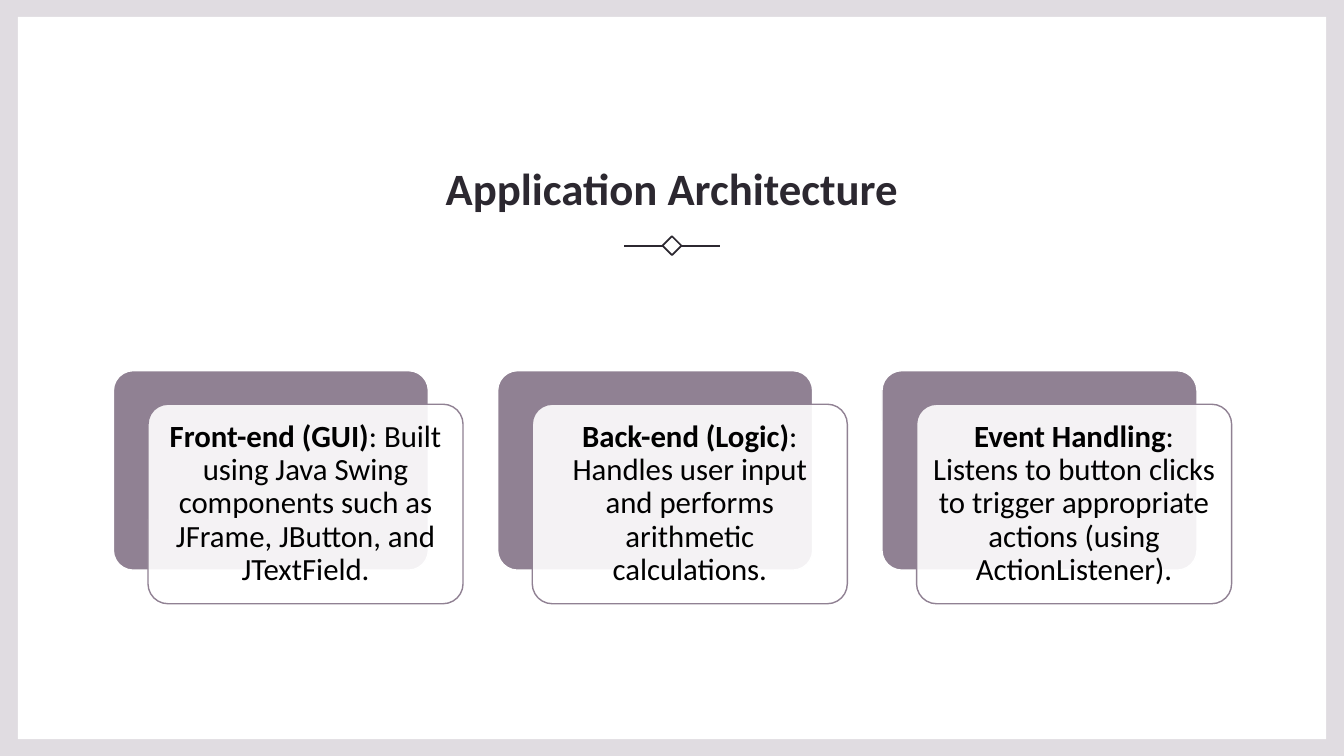
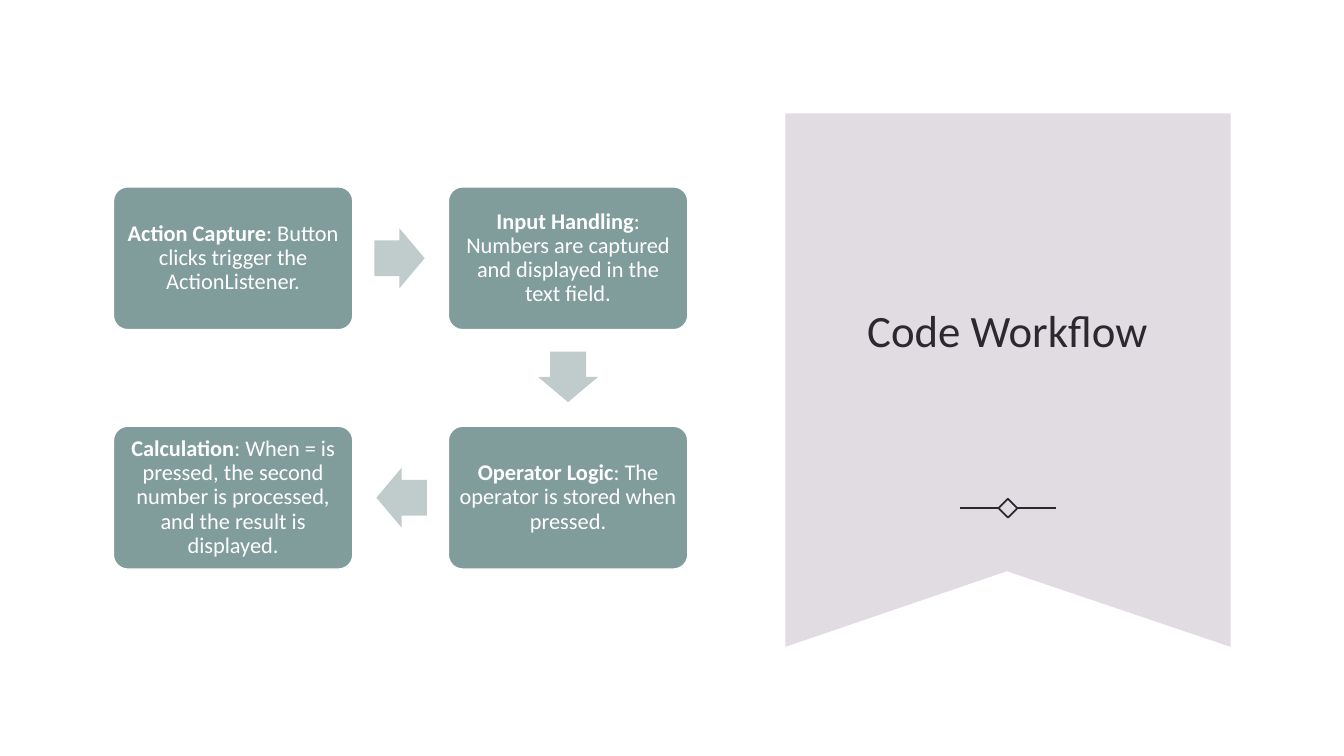
from lxml import etree
from pptx import Presentation
from pptx.dml.color import RGBColor
from pptx.enum.shapes import MSO_CONNECTOR, MSO_SHAPE
from pptx.enum.text import MSO_ANCHOR, MSO_AUTO_SIZE, PP_ALIGN
from pptx.oxml.ns import qn
from pptx.util import Emu, Pt

PX = 9525  # 96 px to the inch
SLIDE_WIDTH, SLIDE_HEIGHT = 1280, 720
FONT = "Calibri"
TITLE_ONLY = 5

INK = RGBColor(0x2C, 0x28, 0x30)
BLACK = RGBColor(0x00, 0x00, 0x00)
WHITE = RGBColor(0xFF, 0xFF, 0xFF)
LILAC = RGBColor(0xE0, 0xDC, 0xE1)
PLUM = RGBColor(0x90, 0x81, 0x93)
TEAL = RGBColor(0x80, 0x9C, 0x9B)
PALE_TEAL = RGBColor(0xC0, 0xCB, 0xCB)

RECTANGLE = MSO_SHAPE.RECTANGLE
ROUNDED = MSO_SHAPE.ROUNDED_RECTANGLE
DIAMOND = MSO_SHAPE.DIAMOND
ARROW = MSO_SHAPE.RIGHT_ARROW
STRAIGHT = MSO_CONNECTOR.STRAIGHT
CENTER = PP_ALIGN.CENTER
MIDDLE, BOTTOM = MSO_ANCHOR.MIDDLE, MSO_ANCHOR.BOTTOM
NO_AUTOFIT = MSO_AUTO_SIZE.NONE

ARCHITECTURE_TITLE = "Application Architecture"
LAYERS = [
    ("Front-end (GUI)", ": Built using Java Swing components such as JFrame, JButton, and JTextField."),
    ("Back-end (Logic)", ": Handles user input and performs arithmetic calculations."),
    ("Event Handling", ": Listens to button clicks to trigger appropriate actions (using ActionListener)."),
]

WORKFLOW_TITLE = "Code Workflow"
# (column, row), bold lead, rest; in the order of the flow
STEPS = [
    ((0, 0), "Action Capture", ": Button clicks trigger the ActionListener."),
    ((1, 0), "Input Handling", ": Numbers are captured and displayed in the text field."),
    ((1, 1), "Operator Logic", ": The operator is stored when pressed."),
    ((0, 1), "Calculation", ": When = is pressed, the second number is processed, and the result is displayed."),
]
ARROW_ROTATION = {(1, 0): 0, (0, 1): 90, (-1, 0): 180}
RIBBON = [(748, 108), (1172, 108), (1172, 616), (959, 544), (748, 616)]


def px(*lengths):
    return [Emu(round(length * PX)) for length in lengths]


def write_text(shape, *runs, size, color, anchor=MIDDLE, spacing=0.9, inset=None):
    """Fill a shape with one centred paragraph; each run is (text, bold)."""
    frame = shape.text_frame
    frame.word_wrap = True
    frame.auto_size = NO_AUTOFIT
    frame.vertical_anchor = anchor
    if inset is not None:
        margin, = px(inset)
        frame.margin_left = frame.margin_right = margin
        frame.margin_top = frame.margin_bottom = margin
    paragraph = frame.paragraphs[0]
    paragraph.alignment = CENTER
    paragraph.line_spacing = spacing
    for text, bold in runs:
        run = paragraph.add_run()
        run.text = text
        font = run.font
        font.name, font.size, font.bold = FONT, Pt(size), bold
        font.color.rgb = color


def style_shape(shape, fill=None, line=None, width=1, opacity=None):
    shape.shadow.inherit = False
    if fill is None:
        shape.fill.background()
    else:
        shape.fill.solid()
        shape.fill.fore_color.rgb = fill
    if line is None:
        shape.line.fill.background()
    else:
        shape.line.color.rgb = line
        shape.line.width = Pt(width)
    if opacity is not None:
        color = shape.element.spPr.find(qn("a:solidFill"))[0]
        etree.SubElement(color, qn("a:alpha")).set("val", str(opacity * 1000))


def add_shape(slide, kind, box, adjustments=(), **style):
    shape = slide.shapes.add_shape(kind, *px(*box))
    for index, value in enumerate(adjustments):
        shape.adjustments[index] = value
    style_shape(shape, **style)
    return shape


def add_title(slide, text, box, anchor, bold):
    """Place the title placeholder in front of the backdrop drawn so far."""
    title = slide.shapes.title
    title.element.getparent().append(title.element)
    title.left, title.top, title.width, title.height = px(*box)
    write_text(title, (text, bold), size=32, color=INK, anchor=anchor, spacing=1.1)


def add_ornament(slide, center_x, center_y):
    """Draw a small diamond between two short lines."""
    size, inner, outer = 18, 9, 46
    add_shape(slide, DIAMOND, (center_x - size / 2, center_y - size / 2, size, size),
              line=INK, width=1.25)
    for side in (-1, 1):
        connector = slide.shapes.add_connector(
            STRAIGHT, *px(center_x + side * inner, center_y, center_x + side * outer, center_y))
        connector.line.color.rgb = INK
        connector.line.width = Pt(1.25)
        etree.SubElement(connector.element.spPr, qn("a:effectLst"))


def add_slide(presentation, background):
    slide = presentation.slides.add_slide(presentation.slide_layouts[TITLE_ONLY])
    slide.background.fill.solid()
    slide.background.fill.fore_color.rgb = background
    return slide


def build_architecture(presentation):
    slide = add_slide(presentation, LILAC)
    border_x, border_y = 17, 16
    add_shape(slide, RECTANGLE, (border_x, border_y, SLIDE_WIDTH - 2 * border_x,
                                 SLIDE_HEIGHT - 2 * border_y), fill=WHITE)
    add_title(slide, ARCHITECTURE_TITLE, (108, 101, 1064, 108), BOTTOM, True)
    add_ornament(slide, 640, 234)

    left, top, width, height, pitch = 108, 353, 300, 190, 366
    offset_x, offset_y = 33, 32
    for index, (lead, rest) in enumerate(LAYERS):
        x = left + index * pitch
        add_shape(slide, ROUNDED, (x, top, width, height), [0.1], fill=PLUM, line=WHITE)
        card = add_shape(slide, ROUNDED, (x + offset_x, top + offset_y, width, height), [0.1],
                         fill=WHITE, line=PLUM, opacity=90)
        write_text(card, (lead, True), (rest, False), size=22, color=BLACK, inset=8)


def build_workflow(presentation):
    slide = add_slide(presentation, WHITE)
    builder = slide.shapes.build_freeform(*RIBBON[0], scale=PX)
    builder.add_line_segments(RIBBON[1:], close=True)
    style_shape(builder.convert_to_shape(), fill=LILAC)
    add_title(slide, WORKFLOW_TITLE, (789, 174, 341, 274), MIDDLE, False)
    add_ornament(slide, 960, 484)

    left, top, width, height = 108, 178, 228, 136
    pitch_x, pitch_y = 319, 228
    arrow_width, arrow_height = 48, 57
    previous = None
    for (column, row), lead, rest in STEPS:
        x, y = left + column * pitch_x, top + row * pitch_y
        if previous:
            step_x, step_y = column - previous[0], row - previous[1]
            # the arrow sits one px short of the middle of the gap
            center_x = x + width / 2 - step_x * (pitch_x / 2 + 1)
            center_y = y + height / 2 - step_y * (pitch_y / 2 + 1)
            arrow = add_shape(slide, ARROW,
                              (center_x - arrow_width / 2, center_y - arrow_height / 2,
                               arrow_width, arrow_height), [0.6, 0.5], fill=PALE_TEAL)
            arrow.rotation = ARROW_ROTATION[step_x, step_y]
        box = add_shape(slide, ROUNDED, (x, y, width, height), [0.1], fill=TEAL, line=WHITE)
        write_text(box, (lead, True), (rest, False), size=16, color=WHITE, inset=6)
        previous = column, row


def main():
    presentation = Presentation()
    presentation.slide_width, presentation.slide_height = px(SLIDE_WIDTH, SLIDE_HEIGHT)
    build_architecture(presentation)
    build_workflow(presentation)
    presentation.save("out.pptx")


if __name__ == "__main__":
    main()
